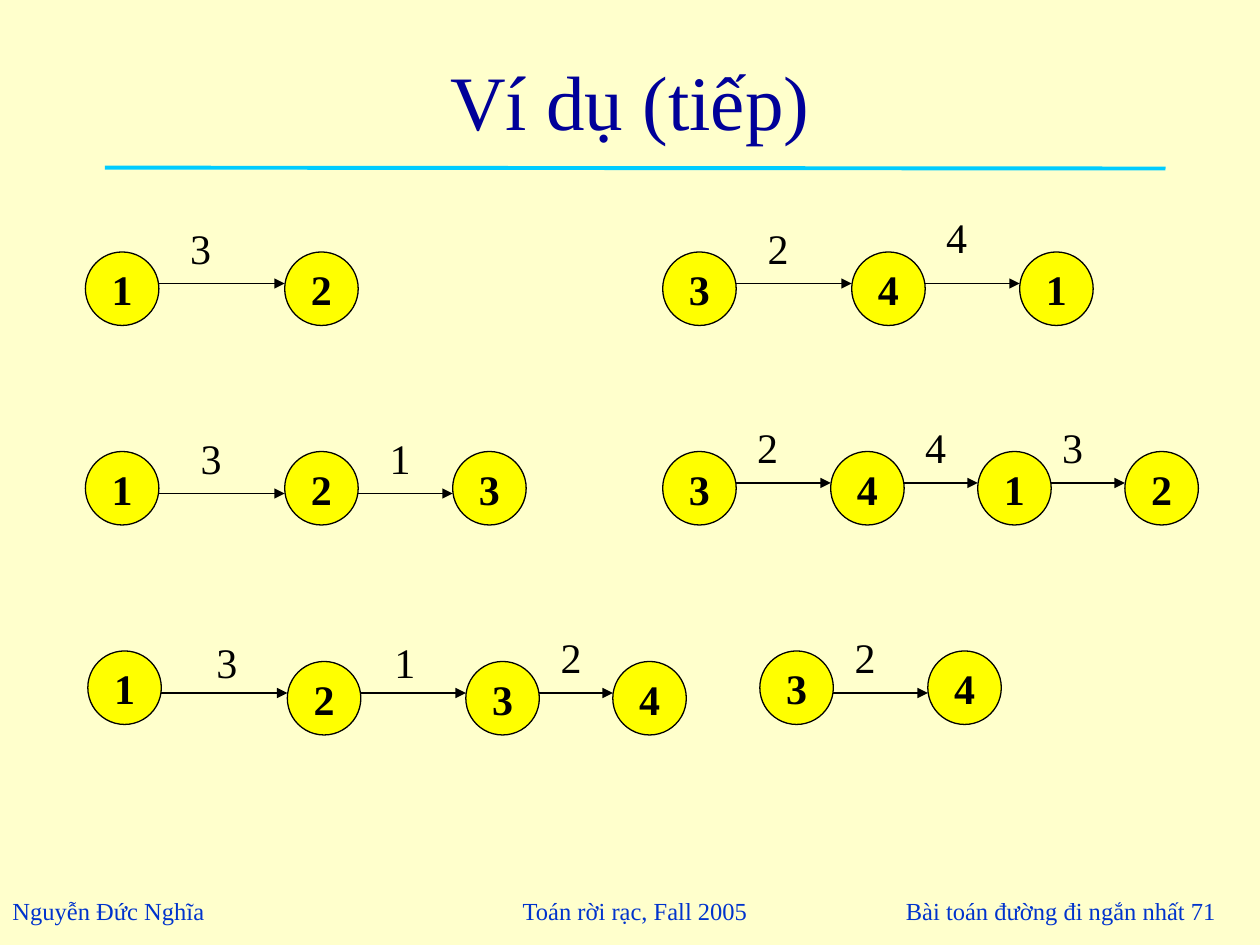
from lxml.etree import SubElement
from pptx import Presentation
from pptx.dml.color import RGBColor
from pptx.enum.shapes import MSO_CONNECTOR, MSO_SHAPE
from pptx.enum.text import MSO_ANCHOR, MSO_AUTO_SIZE, PP_ALIGN
from pptx.oxml.ns import qn
from pptx.util import Pt

FONT = "Times New Roman"
COLORS = {
    "background": "FFFFCC",
    "title": "000099",
    "rule": "00CCFF",
    "footer": "0033CC",
    "node": "FFFF00",
    "ink": "000000",
}
NODE_SIZE = 42

# Each path: arrow height, nodes (label, left, top), weights (label, left, top)
PATHS = [
    (162, [("1", 48.8, 144), ("2", 162.7, 144)], [("3", 101.5, 123.4)]),
    (162, [("3", 378.7, 144), ("4", 486.7, 144), ("1", 582.7, 144)],
     [("2", 431.5, 123.4), ("4", 533.5, 117.4)]),
    (282, [("1", 48.8, 258), ("2", 162.7, 258), ("3", 258.7, 258)],
     [("3", 107.5, 243.4), ("1", 215.5, 243.4)]),
    (276, [("3", 378.7, 258), ("4", 474.7, 258), ("1", 558.7, 258), ("2", 642.8, 258)],
     [("2", 425.5, 237.6), ("4", 521.5, 237.6), ("3", 599.8, 237.6)]),
    (396, [("1", 50.2, 372), ("2", 164.2, 378), ("3", 266.2, 378), ("4", 350.2, 378)],
     [("3", 116.6, 360), ("1", 218.2, 360), ("2", 313.2, 357.4)]),
    (396, [("3", 434.2, 372), ("4", 530.2, 372)], [("2", 481.2, 357.4)]),
]

# Footer parts: text, left, top, width, height, alignment, anchor
FOOTERS = [
    ("Nguyễn Đức Nghĩa", 0, 508.3, 132, 24.5, PP_ALIGN.LEFT, MSO_ANCHOR.TOP),
    ("Toán rời rạc, Fall 2005", 288, 502.6, 149.8, 36, PP_ALIGN.CENTER, MSO_ANCHOR.MIDDLE),
    ("Bài toán đường đi ngắn nhất 71", 492, 505.4, 210, 30.2, PP_ALIGN.RIGHT, MSO_ANCHOR.MIDDLE),
]


def color(name):
    return RGBColor.from_string(COLORS[name])


def write(holder, text, size, ink, align=PP_ALIGN.LEFT, anchor=MSO_ANCHOR.TOP,
          bold=False, wrap=False):
    frame = holder.text_frame
    frame.text = text
    frame.word_wrap = wrap
    frame.vertical_anchor = anchor
    paragraph = frame.paragraphs[0]
    paragraph.alignment = align
    font = paragraph.runs[0].font
    font.name, font.size, font.bold = FONT, Pt(size), bold
    font.color.rgb = color(ink)


def add_title(slide, text):
    title = slide.shapes.title
    title.left, title.top, title.width, title.height = Pt(54), Pt(12), Pt(612), Pt(90)
    write(title, text, 44, "title", PP_ALIGN.CENTER, MSO_ANCHOR.MIDDLE, wrap=True)
    title.text_frame.auto_size = MSO_AUTO_SIZE.NONE


def add_line(slide, start, end, ink, weight, arrow=False):
    line = slide.shapes.add_connector(
        MSO_CONNECTOR.STRAIGHT, *(Pt(value) for value in (*start, *end)))
    line.line.color.rgb = color(ink)
    line.line.width = Pt(weight)
    properties = line.element.spPr
    if arrow:
        SubElement(properties.find(qn("a:ln")), qn("a:tailEnd"), type="triangle")
    SubElement(properties, qn("a:effectLst"))


def add_label(slide, text, left, top, width, height, size, ink, **layout):
    label = slide.shapes.add_textbox(Pt(left), Pt(top), Pt(width), Pt(height))
    write(label, text, size, ink, **layout)


def add_node(slide, text, left, top):
    node = slide.shapes.add_shape(
        MSO_SHAPE.OVAL, Pt(left), Pt(top), Pt(NODE_SIZE), Pt(NODE_SIZE))
    node.shadow.inherit = False
    node.fill.solid()
    node.fill.fore_color.rgb = color("node")
    node.line.color.rgb = color("ink")
    node.line.width = Pt(0.75)
    write(node, text, 24, "ink", PP_ALIGN.CENTER, MSO_ANCHOR.MIDDLE, bold=True)


def add_path(slide, arrow_y, nodes, weights):
    for node in nodes:
        add_node(slide, *node)
    # Arrows run level from one node's right edge to the next one's left edge
    for (_, left, _), (_, next_left, _) in zip(nodes, nodes[1:]):
        add_line(slide, (left + NODE_SIZE, arrow_y), (next_left, arrow_y),
                 "ink", 0.75, arrow=True)
    for text, left, top in weights:
        add_label(slide, text, left, top, 26, 36, 24, "ink")


def main():
    presentation = Presentation()
    presentation.slide_width, presentation.slide_height = Pt(720), Pt(540)
    slide = presentation.slides.add_slide(presentation.slide_layouts[5])
    slide.background.fill.solid()
    slide.background.fill.fore_color.rgb = color("background")

    # Footer
    for text, left, top, width, height, align, anchor in FOOTERS:
        add_label(slide, text, left, top, width, height, 14, "footer",
                  align=align, anchor=anchor)

    # Title and its rule
    add_title(slide, "Ví dụ (tiếp)")
    add_line(slide, (60, 95.8), (666, 96.3), "rule", 2.25)

    # Shortest paths
    for path in PATHS:
        add_path(slide, *path)

    presentation.save("out.pptx")


if __name__ == "__main__":
    main()
